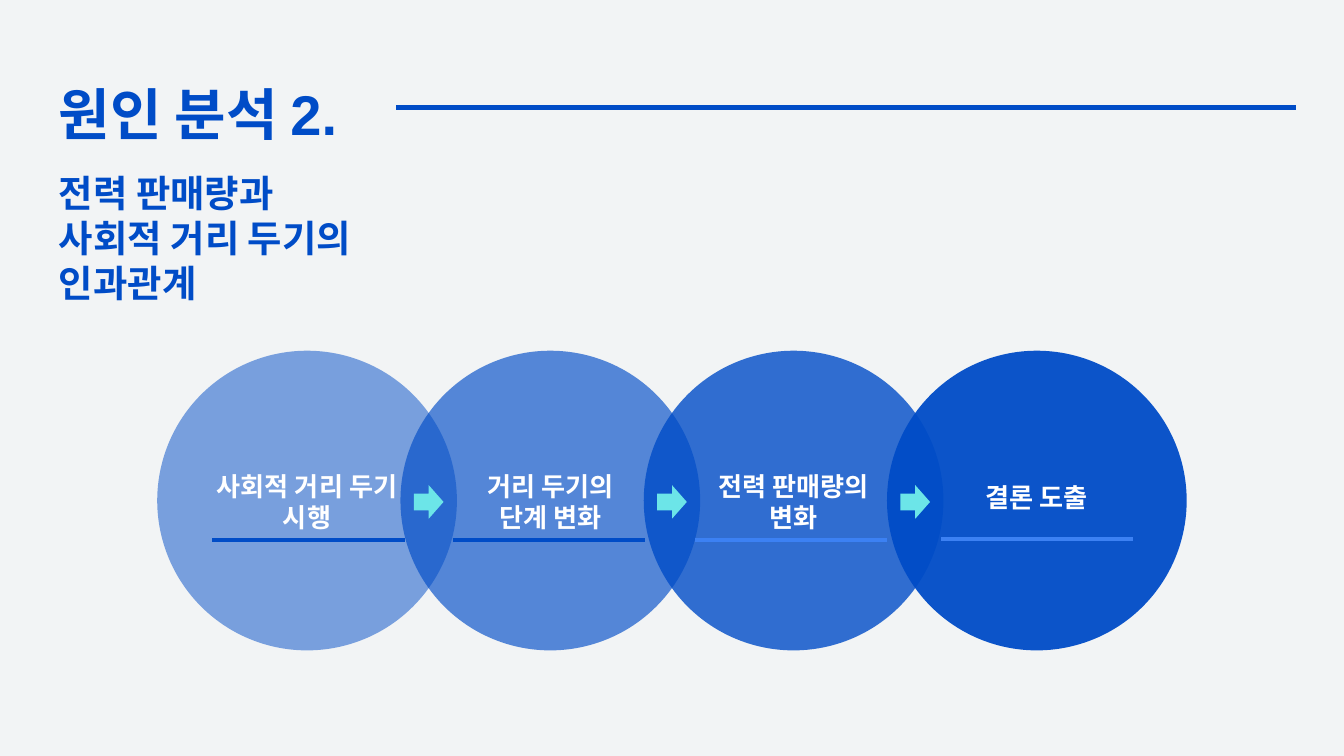
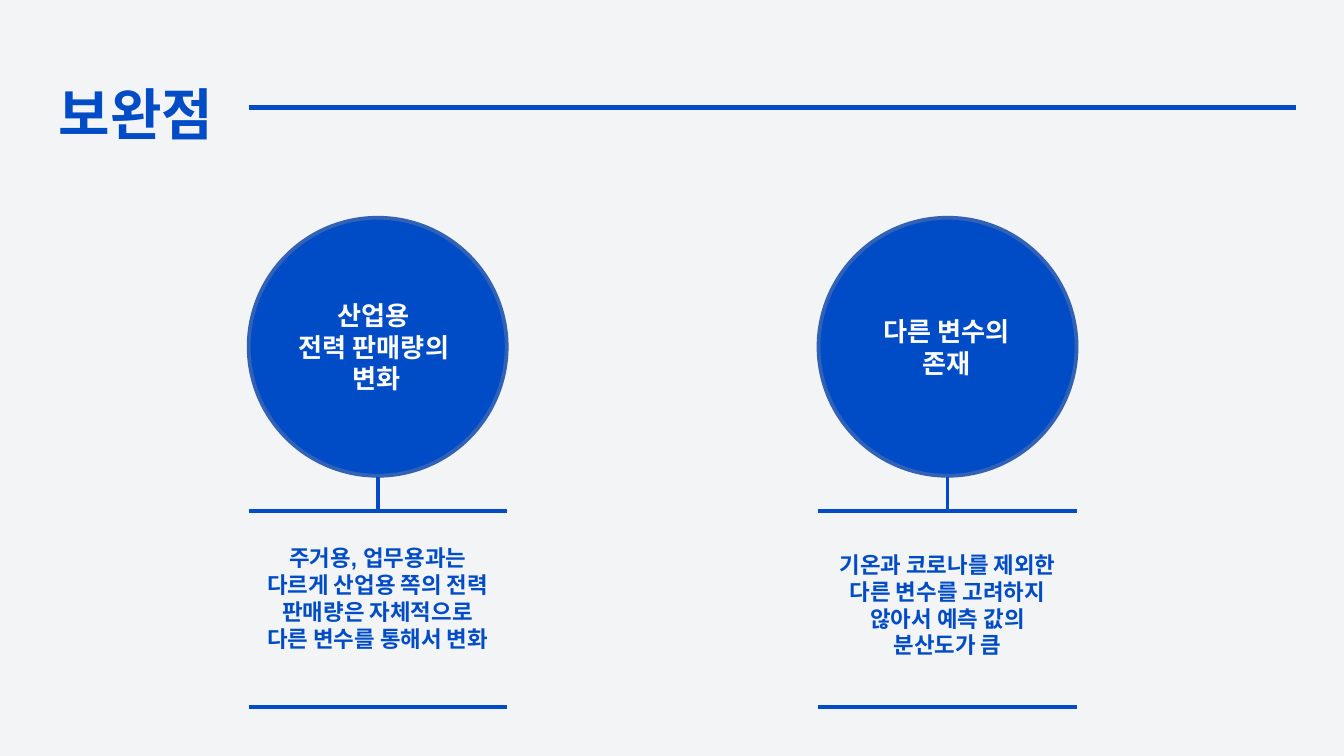
from dataclasses import dataclass

import pptx
import pptx.dml.color
import pptx.enum.shapes
import pptx.enum.text
import pptx.oxml
import pptx.oxml.ns
import pptx.util
from pptx.util import Inches

SHAPE = pptx.enum.shapes.MSO_SHAPE
ALIGN = pptx.enum.text.PP_ALIGN


@dataclass(frozen=True)
class Theme:
    background: str = "F2F4F5"
    blue: str = "004CC7"
    rim: str = "3162B5"
    light_blue: str = "3C81F3"
    aqua: str = "6CE5E8"
    white: str = "FFFFFF"
    latin: str = "Arial"
    korean: str = "Noto Sans CJK KR"
    title: int = 30
    subtitle: int = 20
    label: int = 14
    body: int = 12
    leading: float = 1.2


def rgb(value):
    return pptx.dml.color.RGBColor.from_string(value)


class Deck:
    def __init__(self, theme):
        self.theme = theme
        self.prs = pptx.Presentation()
        self.prs.slide_width = Inches(10)
        self.prs.slide_height = Inches(5.625)
        self.shapes = None

    def new_slide(self, title, rule_start):
        """Start a slide with its heading and the rule running to the right margin."""
        slide = self.prs.slides.add_slide(self.prs.slide_layouts[6])
        slide.background.fill.solid()
        slide.background.fill.fore_color.rgb = rgb(self.theme.background)
        self.shapes = slide.shapes
        self.text([title], 0.34, 0.49, 9.32, 0.63, self.theme.title, inset=0.1)
        self.line(rule_start, 0.8, 9.64, 0.8, width=3)
        return slide

    def text(self, lines, left, top, width, height, size, color=None,
             align=ALIGN.LEFT, latin=None, inset=0.05):
        box = self.shapes.add_textbox(Inches(left), Inches(top), Inches(width), Inches(height))
        frame = box.text_frame
        frame.word_wrap = True
        frame.margin_top = frame.margin_bottom = Inches(inset)
        for number, line in enumerate(lines):
            paragraph = frame.add_paragraph() if number else frame.paragraphs[0]
            paragraph.alignment = align
            paragraph.line_spacing = pptx.util.Pt(size * self.theme.leading)
            run = paragraph.add_run()
            run.text = line
            run.font.name = latin or self.theme.latin
            run.font.size = pptx.util.Pt(size)
            run.font.bold = True
            run.font.color.rgb = rgb(color or self.theme.blue)
            east_asian = pptx.oxml.parse_xml(
                f'<a:ea {pptx.oxml.ns.nsdecls("a")} typeface="{self.theme.korean}"/>')
            run.font._element.find(pptx.oxml.ns.qn("a:latin")).addnext(east_asian)

    def shape(self, kind, left, top, width, height, fill, opacity=100, rim=None):
        shape = self.shapes.add_shape(
            kind, Inches(left), Inches(top), Inches(width), Inches(height))
        shape.shadow.inherit = False
        shape.fill.solid()
        shape.fill.fore_color.rgb = rgb(fill)
        if opacity < 100:
            color = shape._element.spPr.find(".//" + pptx.oxml.ns.qn("a:srgbClr"))
            color.append(pptx.oxml.parse_xml(
                f'<a:alpha {pptx.oxml.ns.nsdecls("a")} val="{opacity * 1000}"/>'))
        if rim:
            shape.line.color.rgb = rgb(rim)
            shape.line.width = pptx.util.Pt(2)
        else:
            shape.line.fill.background()

    def line(self, x1, y1, x2, y2, color=None, width=2):
        line = self.shapes.add_connector(
            pptx.enum.shapes.MSO_CONNECTOR.STRAIGHT,
            Inches(x1), Inches(y1), Inches(x2), Inches(y2))
        line.line.color.rgb = rgb(color or self.theme.blue)
        line.line.width = pptx.util.Pt(width)
        line._element.spPr.append(
            pptx.oxml.parse_xml(f'<a:effectLst {pptx.oxml.ns.nsdecls("a")}/>'))


def build_cause_slide(deck):
    theme = deck.theme
    deck.new_slide("원인 분석 2.", 2.95)
    deck.text(["전력 판매량과", "사회적 거리 두기의", "인과관계"],
              0.34, 1.22, 2.61, 1.11, theme.subtitle)

    # label lines, label top, underline start, underline height, underline colour
    steps = [
        (["사회적 거리 두기 시행"], 3.45, 1.58, 4.02, theme.blue),
        (["거리 두기의", "단계 변화"], 3.45, 3.37, 4.02, theme.blue),
        (["전력 판매량의", "변화"], 3.45, 5.17, 4.02, theme.light_blue),
        (["결론 도출"], 3.53, 7.0, 4.01, theme.light_blue),
    ]
    first, pitch, diameter = 1.17, 1.81, 2.23
    for index in range(len(steps)):
        deck.shape(SHAPE.OVAL, first + index * pitch, 2.61, diameter, diameter,
                   theme.blue, opacity=50 + 15 * index)
    for index in range(len(steps) - 1):
        deck.shape(SHAPE.RIGHT_ARROW, 3.08 + index * pitch, 3.61, 0.22, 0.25, theme.aqua)
    for index, (label, top, start, underline, color) in enumerate(steps):
        deck.text(label, first + index * pitch + 0.23, top, 1.77, 0.57,
                  theme.label, theme.white, ALIGN.CENTER)
        deck.line(start, underline, start + 1.43, underline, color)


def build_improvement_slide(deck):
    theme = deck.theme
    slide = deck.new_slide("보완점", 1.85)
    diameter = 1.92
    points = [
        (1.85, ["산업용 ", "전력 판매량의 ", "변화"], 2.18, 0.81,
         "주거용, 업무용과는 다르게 산업용 쪽의 전력 판매량은 자체적으로 다른 변수를 통해서 변화",
         4.0, 1.11),
        (6.09, ["다른 변수의 존재"], 2.3, 0.57,
         "기온과 코로나를 제외한 다른 변수를 고려하지 않아서 예측 값의 분산도가 큼",
         4.05, 0.91),
    ]
    for left, heading, heading_top, heading_height, detail, detail_top, detail_height in points:
        deck.shapes = slide.shapes.add_group_shape().shapes
        center = left + diameter / 2
        deck.shape(SHAPE.OVAL, left, 1.62, diameter, diameter, theme.blue, rim=theme.rim)
        deck.line(center, 3.55, center, 3.8)
        for y in (3.8, 5.26):
            deck.line(left, y, left + diameter, y)
        deck.text(heading, left + 0.23, heading_top, 1.45, heading_height,
                  theme.label, theme.white, ALIGN.CENTER, theme.korean)
        deck.text([detail], left, detail_top, diameter, detail_height,
                  theme.body, align=ALIGN.CENTER)


def main():
    deck = Deck(Theme())
    build_cause_slide(deck)
    build_improvement_slide(deck)
    deck.prs.save("out.pptx")


if __name__ == "__main__":
    main()
